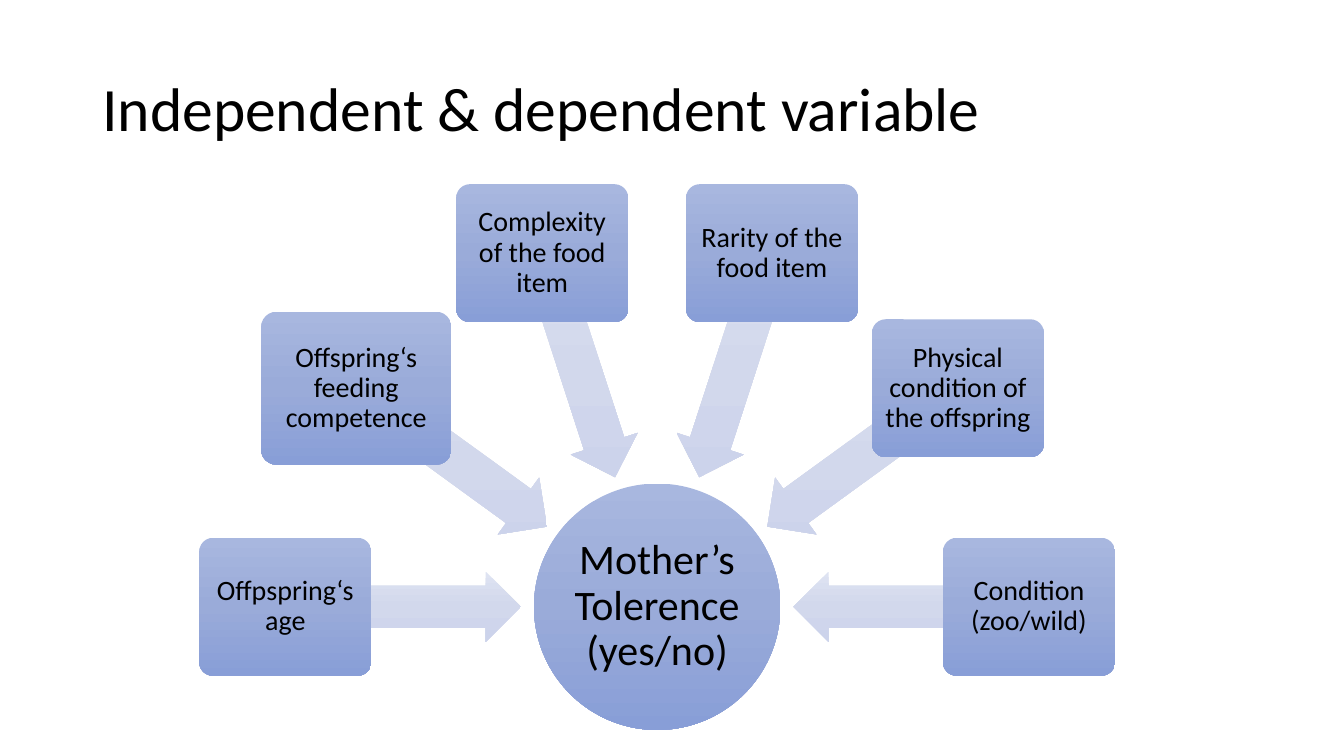
from copy import deepcopy
from math import cos, radians, sin

from pptx import Presentation
from pptx.dml.color import RGBColor
from pptx.enum import shapes, text
from pptx.oxml.ns import qn
from pptx.util import Pt

FONT = "Calibri"
BLACK = RGBColor(0x00, 0x00, 0x00)
NODE_SHADES = [RGBColor(0xA8, 0xB7, 0xDF), RGBColor(0x9A, 0xAB, 0xD9), RGBColor(0x88, 0x9E, 0xD7)]
ARROW_SHADES = [RGBColor(0xDE, 0xE3, 0xF2), RGBColor(0xD2, 0xD8, 0xEC), RGBColor(0xCC, 0xD3, 0xEB)]

HUB_X, HUB_Y, HUB_SIZE = 469.4, 433.4, 176
ARROW_RADIUS, BOX_RADIUS = 181.6, 265.6
ARROW_SIZE = (168.5, 50.2)
BOX_SIZE, LARGE_BOX_SIZE = (123, 98.5), (136, 109.2)
STEP = 36

# Clockwise around the hub, from the left to the right
FACTORS = [
    ("Offpspring‘s age", BOX_SIZE),
    ("Offspring‘s feeding competence", LARGE_BOX_SIZE),
    ("Complexity of the food item", BOX_SIZE),
    ("Rarity of the food item", BOX_SIZE),
    ("Physical condition of the offspring", BOX_SIZE),
    ("Condition (zoo/wild)", BOX_SIZE),
]


def fill_gradient(shape, shades):
    """Shade from top to bottom of the slide, however the shape is turned."""
    shape.fill.gradient()
    shape.fill.gradient_angle = 270
    gradient = shape._element.spPr.find(qn("a:gradFill"))
    gradient.set("rotWithShape", "0")
    stop_list = gradient.find(qn("a:gsLst"))
    stop_list.insert(1, deepcopy(stop_list[0]))
    for stop, shade, position in zip(shape.fill.gradient_stops, shades, (0, 0.5, 1)):
        stop.color.rgb = shade
        stop.position = position


def add_centred(slide, kind, center, size, shades):
    (x, y), (width, height) = center, size
    shape = slide.shapes.add_shape(
        kind, Pt(x - width / 2), Pt(y - height / 2), Pt(width), Pt(height))
    shape.shadow.inherit = False
    shape.line.fill.background()
    fill_gradient(shape, shades)
    return shape


def write(shape, words, size, alignment):
    frame = shape.text_frame
    frame.word_wrap = True
    frame.vertical_anchor = text.MSO_ANCHOR.MIDDLE
    paragraph = frame.paragraphs[0]
    paragraph.text = words
    paragraph.alignment = alignment
    paragraph.line_spacing = 0.9
    paragraph.font.name = FONT
    paragraph.font.size = Pt(size)
    paragraph.font.color.rgb = BLACK


def set_insets(shape, inset):
    frame = shape.text_frame
    frame.margin_left = frame.margin_right = Pt(inset)
    frame.margin_top = frame.margin_bottom = Pt(inset)


def around_hub(radius, angle):
    """Point at an angle counted clockwise from the left of the hub."""
    turn = radians(angle)
    return HUB_X - radius * cos(turn), HUB_Y - radius * sin(turn)


def add_title(slide, words):
    title = slide.shapes.add_textbox(Pt(66), Pt(27.4), Pt(828), Pt(104.4))
    write(title, words, 44, text.PP_ALIGN.LEFT)


def add_hub(slide, words):
    hub = add_centred(slide, shapes.MSO_SHAPE.OVAL, (HUB_X, HUB_Y),
                      (HUB_SIZE, HUB_SIZE), NODE_SHADES)
    set_insets(hub, 1.5)
    write(hub, words, 30, text.PP_ALIGN.CENTER)


def add_factor(slide, words, size, angle):
    arrow = add_centred(slide, shapes.MSO_SHAPE.LEFT_ARROW,
                        around_hub(ARROW_RADIUS, angle), ARROW_SIZE, ARROW_SHADES)
    arrow.adjustments[0] = 0.6
    arrow.adjustments[1] = 0.5
    arrow.rotation = (180 + angle) % 360

    box = add_centred(slide, shapes.MSO_SHAPE.ROUNDED_RECTANGLE,
                      around_hub(BOX_RADIUS, angle), size, NODE_SHADES)
    box.adjustments[0] = 0.1
    set_insets(box, 3)
    write(box, words, 20, text.PP_ALIGN.CENTER)


def main():
    deck = Presentation()
    deck.slide_width, deck.slide_height = Pt(960), Pt(540)
    slide = deck.slides.add_slide(deck.slide_layouts[6])
    add_hub(slide, "Mother’s Tolerence (yes/no)")
    for place, (words, size) in enumerate(FACTORS):
        add_factor(slide, words, size, place * STEP)
    add_title(slide, "Independent & dependent variable")
    deck.save("out.pptx")


if __name__ == "__main__":
    main()
